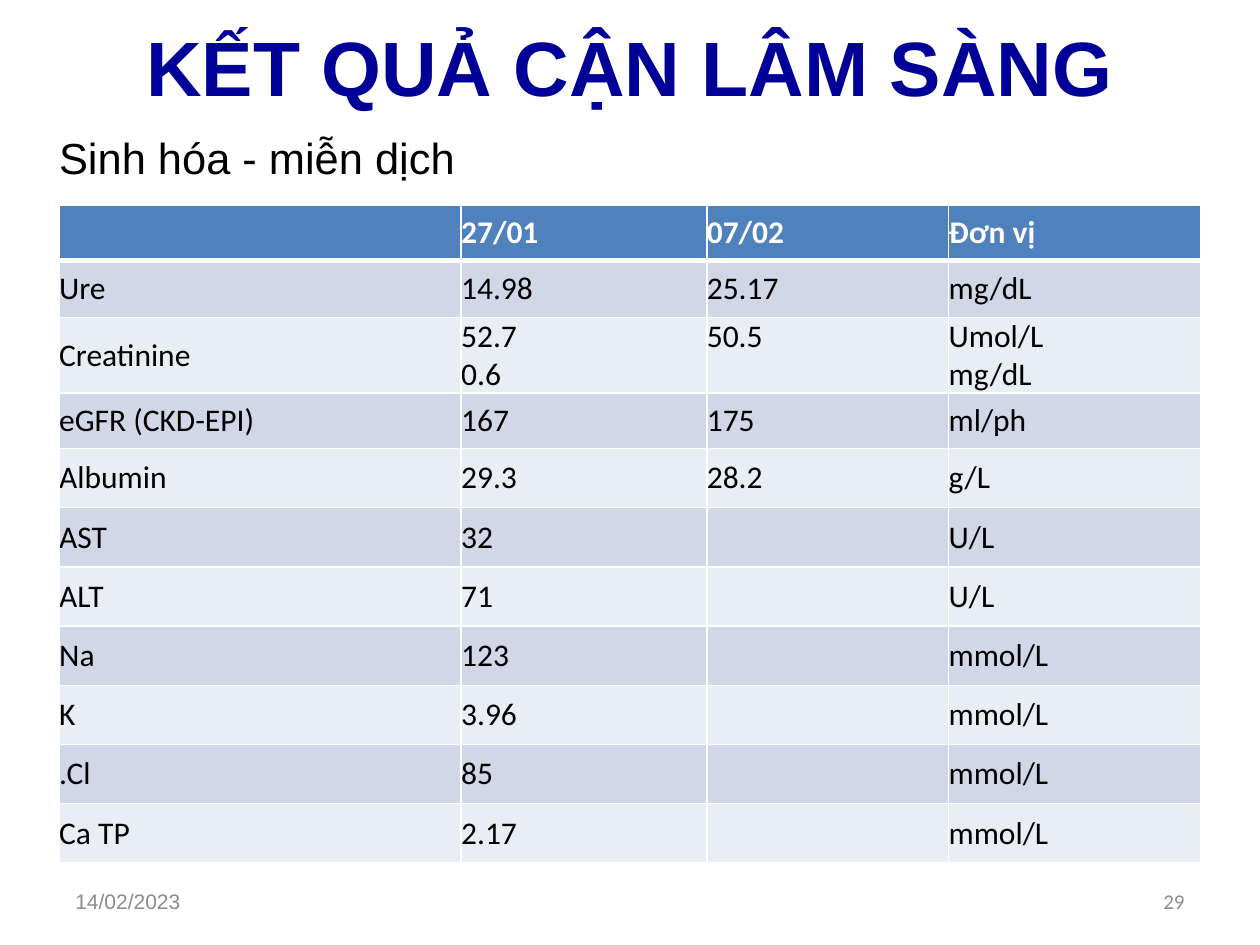
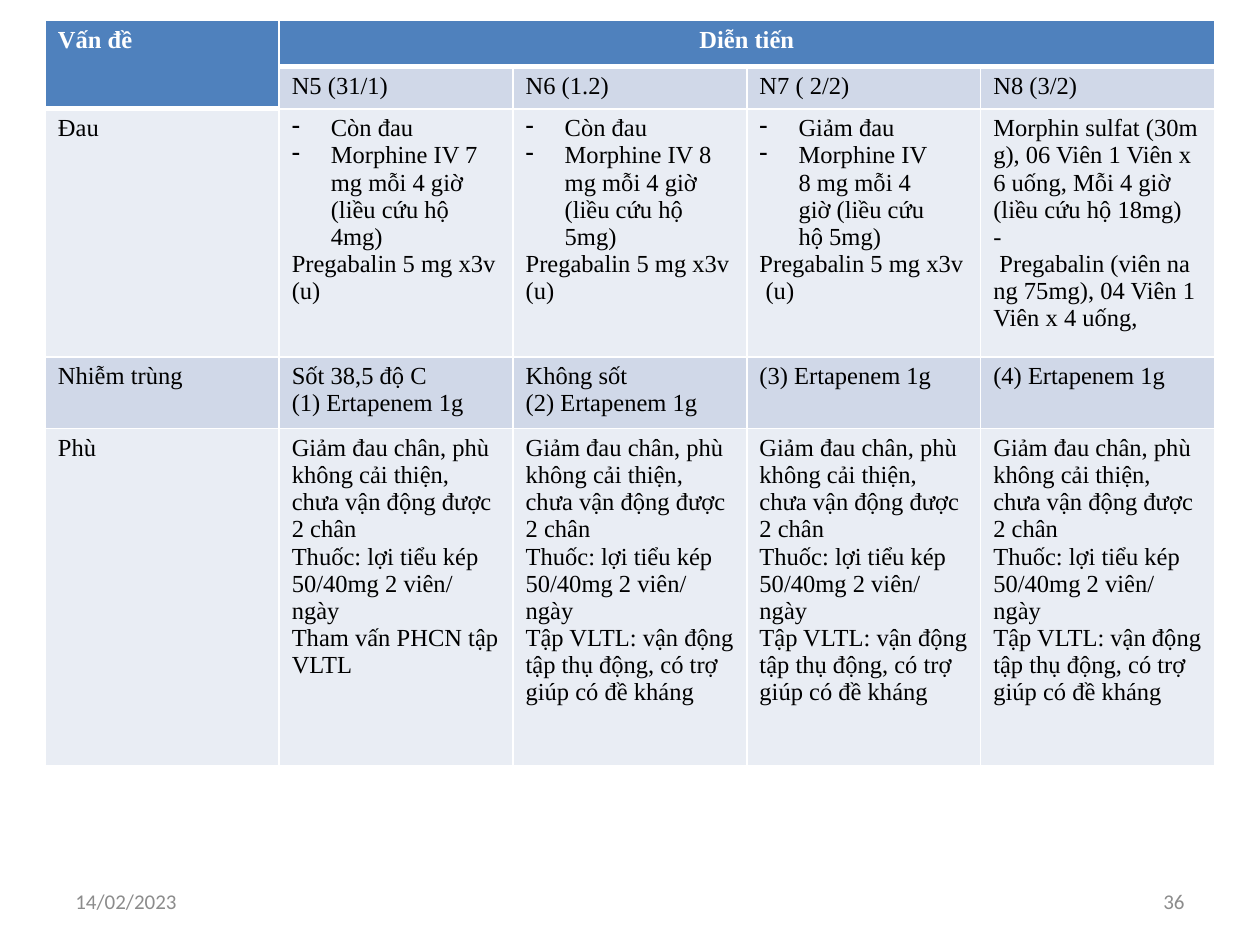
from dataclasses import dataclass

from lxml import etree
from pptx import Presentation
from pptx.dml.color import RGBColor
from pptx.enum.text import MSO_ANCHOR as Anchor, PP_ALIGN as Align
from pptx.oxml.ns import qn
from pptx.util import Emu, Inches, Pt

COLORS = {
    "title": "000099", "text": "000000", "footer": "8C8C8C", "line": "FFFFFF",
    "header": "4F81BD", "header_text": "FFFFFF", "odd": "D0D8E8", "even": "E9EDF4",
}
SLIDE_W, SLIDE_H = Inches(10), Inches(7.5)
UNIT = SLIDE_W / 100  # the grid has 100 columns and 75 rows
BULLET = "- "
NBSP = chr(160)  # typed as ~ in the texts below


@dataclass(frozen=True)
class Area:
    col: float
    row: float
    cols: float
    rows: float

    def emu(self) -> list[Emu]:
        return [grid(n) for n in (self.col, self.row, self.cols, self.rows)]


@dataclass(frozen=True)
class TableSpec:
    left: float
    top: float
    cols: list[float]
    rows: list[float]
    texts: list[list[str]]
    font: str
    size: float
    inset: tuple[float, float]  # sides, top and bottom
    anchor: Anchor
    merges: tuple[tuple[int, int, int, int], ...] = ()


def grid(units: float) -> Emu:
    return Emu(round(units * UNIT))


def add_bullet(paragraph) -> None:
    props = paragraph._p.get_or_add_pPr()
    props.set("marL", str(grid(3.1)))
    props.set("indent", str(-grid(3.1)))
    etree.SubElement(props, qn("a:buChar")).set("char", BULLET.strip())


def write(frame, text: str, *, font: str, size: float, color: str = "text",
          bold: bool = False, align: Align = Align.LEFT) -> None:
    """Write one paragraph per line; lines that start with "- " are bulleted."""
    for number, line in enumerate(text.split("\n")):
        paragraph = frame.add_paragraph() if number else frame.paragraphs[0]
        paragraph.alignment = align
        if line.startswith(BULLET):
            add_bullet(paragraph)
            line = line.removeprefix(BULLET)
        run = paragraph.add_run()
        run.text = line.replace("~", NBSP)
        run.font.name, run.font.size, run.font.bold = font, Pt(size), bold
        run.font.color.rgb = RGBColor.from_string(COLORS[color])


def add_text(slide, area: Area, text: str, anchor: Anchor = Anchor.MIDDLE, **style) -> None:
    frame = slide.shapes.add_textbox(*area.emu()).text_frame
    frame.word_wrap = True
    frame.vertical_anchor = anchor
    write(frame, text, **style)


def add_footer(slide, number: int, date_font: str) -> None:
    add_text(slide, Area(5, 69.5, 23.3, 4), "14/02/2023",
             font=date_font, size=12, color="footer")
    add_text(slide, Area(71.7, 69.5, 23.3, 4), str(number),
             font="Calibri", size=12, color="footer", align=Align.RIGHT)


def set_borders(cell, widths: dict[str, float]) -> None:
    props = cell._tc.get_or_add_tcPr()
    for side, width in widths.items():
        line = etree.SubElement(props, qn(f"a:ln{side}"), w=str(Pt(width)))
        fill = etree.SubElement(line, qn("a:solidFill"))
        etree.SubElement(fill, qn("a:srgbClr"), val=COLORS["line"])


def add_table(slide, spec: TableSpec):
    area = Area(spec.left, spec.top, sum(spec.cols), sum(spec.rows))
    table = slide.shapes.add_table(len(spec.rows), len(spec.cols), *area.emu()).table
    table.first_row = table.horz_banding = False
    for column, width in zip(table.columns, spec.cols):
        column.width = grid(width)
    for row, height in zip(table.rows, spec.rows):
        row.height = grid(height)
    for top, left, bottom, right in spec.merges:
        table.cell(top, left).merge(table.cell(bottom, right))

    for r, row_texts in enumerate(spec.texts):
        for c, text in enumerate(row_texts):
            cell = table.cell(r, c)
            header = r == 0 or cell.is_spanned
            top_line = {"T": 1} if r == 0 else {}
            set_borders(cell, {"L": 1, "R": 1, **top_line, "B": 3 if header else 1})
            cell.fill.solid()
            band = "header" if header else "odd" if r % 2 else "even"
            cell.fill.fore_color.rgb = RGBColor.from_string(COLORS[band])
            sides, ends = spec.inset
            cell.margin_left = cell.margin_right = grid(sides)
            cell.margin_top = cell.margin_bottom = grid(ends)
            cell.vertical_anchor = spec.anchor
            centred = cell.is_merge_origin and cell.span_width > 1
            write(cell.text_frame, text, font=spec.font, size=spec.size, bold=header,
                  color="header_text" if header else "text",
                  align=Align.CENTER if centred else Align.LEFT)
    return table


# Laboratory results
LAB_RESULTS = TableSpec(
    left=4.7, top=16.3, cols=[31.9, 19.5, 19.2, 20],
    rows=[4.4, 4.5, 6, 4.4] + [4.7] * 7,
    font="Calibri", size=18, inset=(0, 0), anchor=Anchor.MIDDLE,
    texts=[
        ["", "27/01", "07/02", "Đơn vị"],
        ["Ure", "14.98", "25.17", "mg/dL"],
        ["Creatinine", "52.7\n0.6", "50.5", "Umol/L\nmg/dL"],
        ["eGFR (CKD-EPI)", "167", "175", "ml/ph"],
        ["Albumin", "29.3", "28.2", "g/L"],
        ["AST", "32", "", "U/L"],
        ["ALT", "71", "", "U/L"],
        ["Na", "123", "", "mmol/L"],
        ["K", "3.96", "", "mmol/L"],
        [".Cl", "85", "", "mmol/L"],
        ["Ca TP", "2.17", "", "mmol/L"],
    ],
)

# Daily progress
PREGABALIN = "Pregabalin~5~mg~x3v"
EDEMA = ("Giảm đau chân, phù không cải thiện, chưa vận động được 2 chân\n"
         "Thuốc: lợi tiểu kép 50/40mg 2 viên/ ngày\n")
EXERCISE = EDEMA + "Tập VLTL: vận động tập thụ động, có trợ giúp có đề kháng"
PROGRESS = TableSpec(
    left=3.6, top=1.6, cols=[18.56] * 5, rows=[3.7, 3.3, 18.2, 5.7, 26.8],
    font="Times New Roman", size=14, inset=(1, 0.5), anchor=Anchor.TOP,
    merges=((0, 0, 1, 0), (0, 1, 0, 4)),
    texts=[
        ["Vấn đề", "Diễn tiến", "", "", ""],
        ["", "N5 (31/1)", "N6 (1.2)", "N7 ( 2/2)", "N8 (3/2)"],
        ["Đau",
         f"- Còn đau\n- Morphine IV 7 mg mỗi 4 giờ (liều cứu hộ 4mg)\n{PREGABALIN} (u)",
         f"- Còn đau\n- Morphine IV 8 mg mỗi 4 giờ (liều cứu hộ 5mg)\n{PREGABALIN} (u)",
         "- Giảm đau\n- Morphine~IV 8~mg~mỗi 4 giờ~(liều cứu hộ~5mg)\n"
         f"{PREGABALIN}~(u)",
         "Morphin~sulfat~(30mg), 06 Viên 1 Viên x 6 uống, Mỗi~4 giờ (liều cứu hộ 18mg)\n"
         "-~Pregabalin~(viên~nang~75mg), 04 Viên 1 Viên x 4 uống,"],
        ["Nhiễm trùng", "Sốt 38,5 độ C\n(1)~Ertapenem~1g", "Không sốt\n(2) Ertapenem 1g",
         "(3) Ertapenem~1g", "(4) Ertapenem~1g"],
        ["Phù", EDEMA + "Tham vấn PHCN tập VLTL", EXERCISE, EXERCISE, EXERCISE],
    ],
)


def build_lab_results(slide) -> None:
    add_text(slide, Area(5, -1, 90, 12.5), "KẾT QUẢ CẬN LÂM SÀNG", font="Arial",
             size=44, color="title", bold=True, align=Align.CENTER)
    add_text(slide, Area(3.7, 9.9, 45.2, 4.6), "Sinh hóa - miễn dịch",
             Anchor.TOP, font="Arial", size=24.8)
    table = add_table(slide, LAB_RESULTS)
    table.cell(2, 2).vertical_anchor = Anchor.TOP  # level with the first creatinine unit
    add_footer(slide, 29, "Arial")


def build_progress(slide) -> None:
    add_table(slide, PROGRESS)
    add_footer(slide, 36, "Calibri")


def main() -> None:
    deck = Presentation()
    deck.slide_width, deck.slide_height = SLIDE_W, SLIDE_H
    blank = deck.slide_layouts[6]
    for build in (build_lab_results, build_progress):
        build(deck.slides.add_slide(blank))
    deck.save("out.pptx")


if __name__ == "__main__":
    main()
